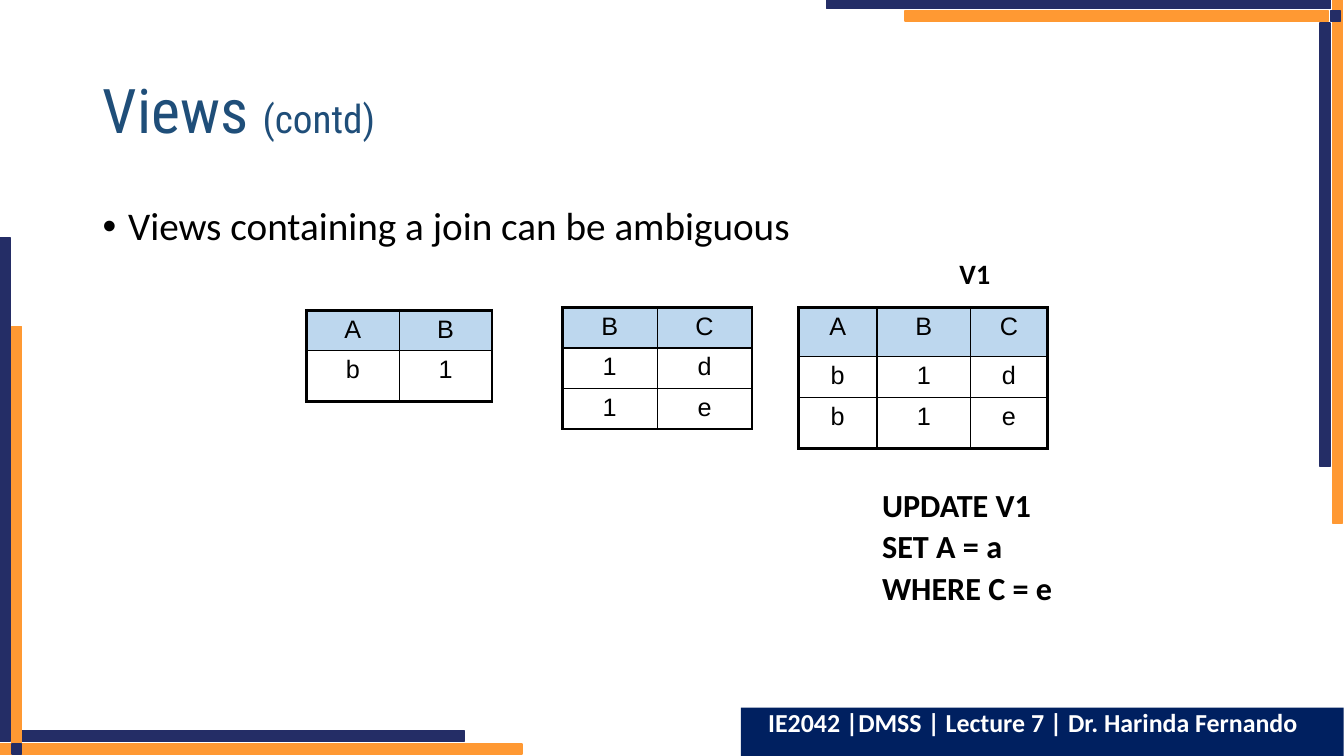
from lxml.etree import SubElement
from pptx import Presentation
from pptx.dml.color import RGBColor
from pptx.enum.shapes import MSO_SHAPE
from pptx.enum.text import MSO_ANCHOR, PP_ALIGN
from pptx.oxml.ns import qn
from pptx.util import Cm, Pt

NAVY, ORANGE, FOOTER = "242D66", "FF9933", "002060"
BLACK, WHITE, TITLE, HEADER = "000000", "FFFFFF", "1F4E79", "BDD7EE"
THICK, THIN = 2.25, 1
BAR = 0.25

FRAME_BARS = [
    (33.58, -0.03, BAR, 13.21, ORANGE),
    (33.27, 0.58, BAR, 11.18, NAVY),
    (20.83, -0.03, 12.7, BAR, NAVY),
    (22.81, 0.28, 10.67, BAR, ORANGE),
    (33.53, 0.28, BAR, BAR, NAVY),
    (-0.05, 18.75, 13.21, BAR, ORANGE),
    (0.53, 18.42, 11.18, BAR, NAVY),
    (0, 5.99, BAR, 12.7, NAVY),
    (0.3, 8.23, BAR, 10.67, ORANGE),
    (0.3, 18.75, BAR, BAR, NAVY),
]

TABLES = [
    (7.72, 7.82, [2.34, 2.34], [1.02, 1.27], ["AB", "b1"]),
    (14.17, 7.75, [2.39, 2.39], [1.02, 1.02, 1.02], ["BC", "1d", "1e"]),
    (20.12, 7.75, [1.98, 2.36, 1.93], [1.24, 1.02, 1.3], ["ABC", "b1d", "b1e"]),
]


def color(value):
    """Turn a hex string into a colour."""
    return RGBColor.from_string(value)


def style_font(font, size, name, ink, bold=False):
    """Set the look of a font."""
    font.size, font.name, font.bold = Pt(size), name, bold
    font.color.rgb = color(ink)


def add_bar(page, left, top, width, height, fill, outlined=True):
    """Draw a flat rectangle and return it."""
    bar = page.shapes.add_shape(
        MSO_SHAPE.RECTANGLE, Cm(left), Cm(top), Cm(width), Cm(height))
    bar.shadow.inherit = False
    bar.fill.solid()
    bar.fill.fore_color.rgb = color(fill)
    if outlined:
        bar.line.color.rgb = color(fill)
        bar.line.width = Pt(1)
    else:
        bar.line.fill.background()
    return bar


def add_text(page, left, top, width, height, lines, size, bold=False):
    """Add a text box without margins, one paragraph per line."""
    box = page.shapes.add_textbox(Cm(left), Cm(top), Cm(width), Cm(height))
    frame = box.text_frame
    frame.word_wrap = True
    frame.margin_left = frame.margin_right = 0
    frame.margin_top = frame.margin_bottom = 0
    frame.text = "\n".join(lines)
    for index, para in enumerate(frame.paragraphs):
        para.line_spacing = 0.9
        para.space_before = Pt(5 if index else 0)
        style_font(para.font, size, "Calibri", BLACK, bold)
    return box


def add_bullet(para, indent):
    """Give a paragraph a round bullet with a hanging indent."""
    properties = para._p.get_or_add_pPr()
    properties.set("marL", str(Cm(indent)))
    properties.set("indent", str(-Cm(indent)))
    SubElement(properties, qn("a:buFont"), typeface="Arial")
    SubElement(properties, qn("a:buChar"), char="•")


def add_title(page):
    """Add the heading with its smaller suffix."""
    box = page.shapes.add_textbox(Cm(2.34), Cm(1.02), Cm(29.21), Cm(3.68))
    frame = box.text_frame
    frame.word_wrap = True
    frame.vertical_anchor = MSO_ANCHOR.MIDDLE
    para = frame.paragraphs[0]
    para.line_spacing = 0.9
    for words, size in [("Views ", 44), ("(contd)", 28)]:
        span = para.add_run()
        span.text = words
        style_font(span.font, size, "Roboto Condensed", TITLE)


def set_borders(cell, widths):
    """Draw the left, right, top and bottom borders of a cell."""
    properties = cell._tc.get_or_add_tcPr()
    for side, width in zip("LRTB", widths):
        line = SubElement(properties, qn(f"a:ln{side}"), w=str(Pt(width)))
        fill = SubElement(line, qn("a:solidFill"))
        SubElement(fill, qn("a:srgbClr"), val=BLACK)


def add_grid(page, left, top, widths, heights, rows):
    """Add a relation table with a shaded header and a thick outline."""
    table = page.shapes.add_table(
        len(rows), len(widths), Cm(left), Cm(top),
        Cm(sum(widths)), Cm(sum(heights))).table
    table.first_row = table.horz_banding = False
    for column, width in zip(table.columns, widths):
        column.width = Cm(width)
    for row, height in zip(table.rows, heights):
        row.height = Cm(height)
    for y, values in enumerate(rows):
        for x, value in enumerate(values):
            cell = table.cell(y, x)
            cell.text = value
            para = cell.text_frame.paragraphs[0]
            para.alignment = PP_ALIGN.CENTER
            style_font(para.font, 18, "Arial", BLACK)
            edges = (x == 0, x == len(widths) - 1, y == 0, y == len(rows) - 1)
            set_borders(cell, [THICK if edge else THIN for edge in edges])
            if y == 0:
                cell.fill.solid()
                cell.fill.fore_color.rgb = color(HEADER)
            else:
                cell.fill.background()


def add_footer(page):
    """Add the course strip at the bottom right."""
    strip = add_bar(page, 18.67, 17.83, 15.19, 1.24, FOOTER, outlined=False)
    frame = strip.text_frame
    frame.word_wrap = True
    frame.vertical_anchor = MSO_ANCHOR.TOP
    frame.margin_left = Cm(0.69)
    para = frame.paragraphs[0]
    para.text = "IE2042 |DMSS | Lecture 7 | Dr. Harinda Fernando"
    para.alignment = PP_ALIGN.LEFT
    para.line_spacing = 0.8
    style_font(para.font, 18.5, "Calibri", WHITE, True)


def main():
    """Build the slide and save the deck."""
    deck = Presentation()
    deck.slide_width, deck.slide_height = Cm(33.87), Cm(19.05)
    page = deck.slides.add_slide(deck.slide_layouts[6])
    for bar in FRAME_BARS:
        add_bar(page, *bar)
    statement = add_text(page, 2.59, 5.21, 28.7, 1.2,
                         ["Views containing a join can be ambiguous"], 28)
    add_bullet(statement.text_frame.paragraphs[0], 0.64)
    add_text(page, 24.18, 6.55, 2, 0.8, ["V1"], 20, True)
    for grid in TABLES:
        add_grid(page, *grid)
    add_text(page, 22.23, 12.33, 8, 3.1,
             ["UPDATE V1", "SET A = a", "WHERE C = e"], 23, True)
    add_title(page)
    add_footer(page)
    deck.save("out.pptx")


if __name__ == "__main__":
    main()
